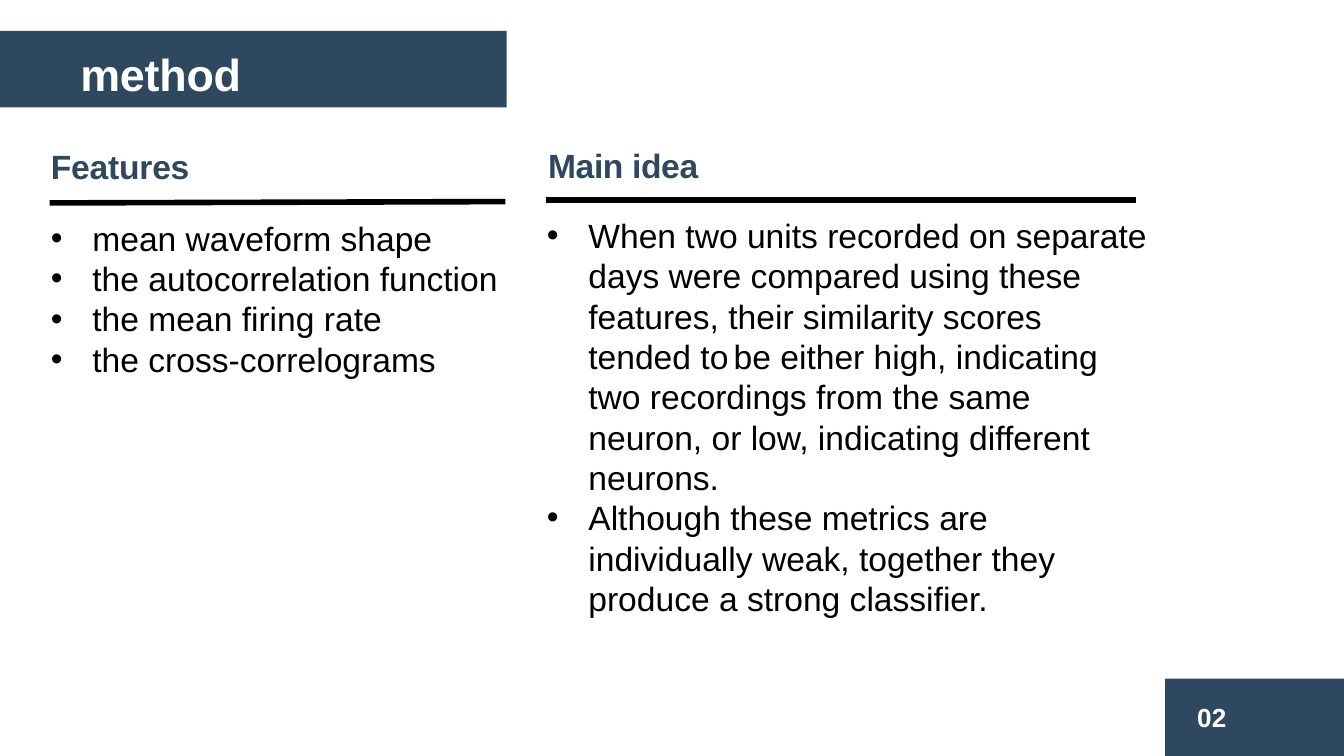
from pptx import Presentation
from pptx.dml.color import RGBColor
from pptx.enum.shapes import MSO_CONNECTOR as Connector, MSO_SHAPE as Shape
from pptx.enum.text import MSO_AUTO_SIZE as AutoSize
from pptx.oxml.ns import qn
from pptx.util import Inches, Pt
from lxml import etree

COLORS = {"navy": "2E4860", "white": "FFFFFF", "black": "000000"}
HEADING = {"size": Pt(18), "bold": True}
BODY = {"size": Pt(18), "bold": False}
INDENT = Inches(0.31)

deck = Presentation()
deck.slide_width = Inches(10)
deck.slide_height = Inches(10 * 9 / 16)
page = deck.slides.add_slide(deck.slide_layouts[6])


def add_text(place, paragraphs, color, formats, spacing=0, bulleted=False):
    box = page.shapes.add_textbox(*map(Inches, place))
    frame = box.text_frame
    frame.word_wrap = True
    frame.auto_size = AutoSize.SHAPE_TO_FIT_TEXT
    for index, parts in enumerate(paragraphs):
        para = frame.paragraphs[0] if index == 0 else frame.add_paragraph()
        if bulleted:
            props = para._p.get_or_add_pPr()
            props.set("marL", str(INDENT))
            props.set("indent", str(-INDENT))
            etree.SubElement(props, qn("a:buFont")).set("typeface", "Arial")
            etree.SubElement(props, qn("a:buChar")).set("char", "•")
        for words in parts:
            span = para.add_run()
            span.text = words
            span.font.name = "Arial"
            span.font.color.rgb = RGBColor.from_string(COLORS[color])
            for name, value in formats.items():
                setattr(span.font, name, value)
            if words == " ":
                span.font.size = Pt(10)
            if spacing:
                span._r.get_or_add_rPr().set("spc", str(spacing))


for place in [(8.67, 5.05, 1.33, 0.59), (0, 0.23, 3.77, 0.57)]:
    band = page.shapes.add_shape(Shape.RECTANGLE, *map(Inches, place))
    band.shadow.inherit = False
    band.fill.solid()
    band.fill.fore_color.rgb = RGBColor.from_string(COLORS["navy"])
    band.line.fill.background()

add_text((8.81, 5.17, 0.5, 0.34), [["02"]], "white", {"size": Pt(14), "bold": True})
add_text((0.5, 0.3, 3.87, 0.5), [["method"]], "white", {"size": Pt(24), "bold": True}, -10)

features = [
    ["mean waveform shape"],
    ["the autocorrelation function"],
    ["the mean firing rate"],
    ["the cross-correlograms"],
]
ideas = [
    [
        "When two units recorded on separate days were compared using these features, "
        "their similarity scores tended to",
        " ",
        "be either high, indicating two recordings from the same neuron, "
        "or low, indicating different neurons.",
    ],
    ["Although these metrics are individually weak, together they produce a strong classifier."],
]
columns = [
    ("Features", (0.28, 1.04, 2.12, 0.4), -10, (0.37, 1.51, 3.76, 1.5),
     features, (0.28, 1.57, 3.66, 1.31)),
    ("Main idea", (3.98, 1.03, 2.12, 0.4), -20, (4.06, 1.49, 8.45, 1.49),
     ideas, (3.97, 1.55, 4.7, 3)),
]
for heading, heading_place, spacing, ends, points, points_place in columns:
    add_text(heading_place, [[heading]], "navy", HEADING, spacing)
    rule = page.shapes.add_connector(Connector.STRAIGHT, *map(Inches, ends))
    rule.line.width = Pt(3)
    rule.line.color.rgb = RGBColor.from_string(COLORS["black"])
    etree.SubElement(rule._element.spPr, qn("a:effectLst"))
    add_text(points_place, points, "black", BODY, bulleted=True)

deck.save("out.pptx")
